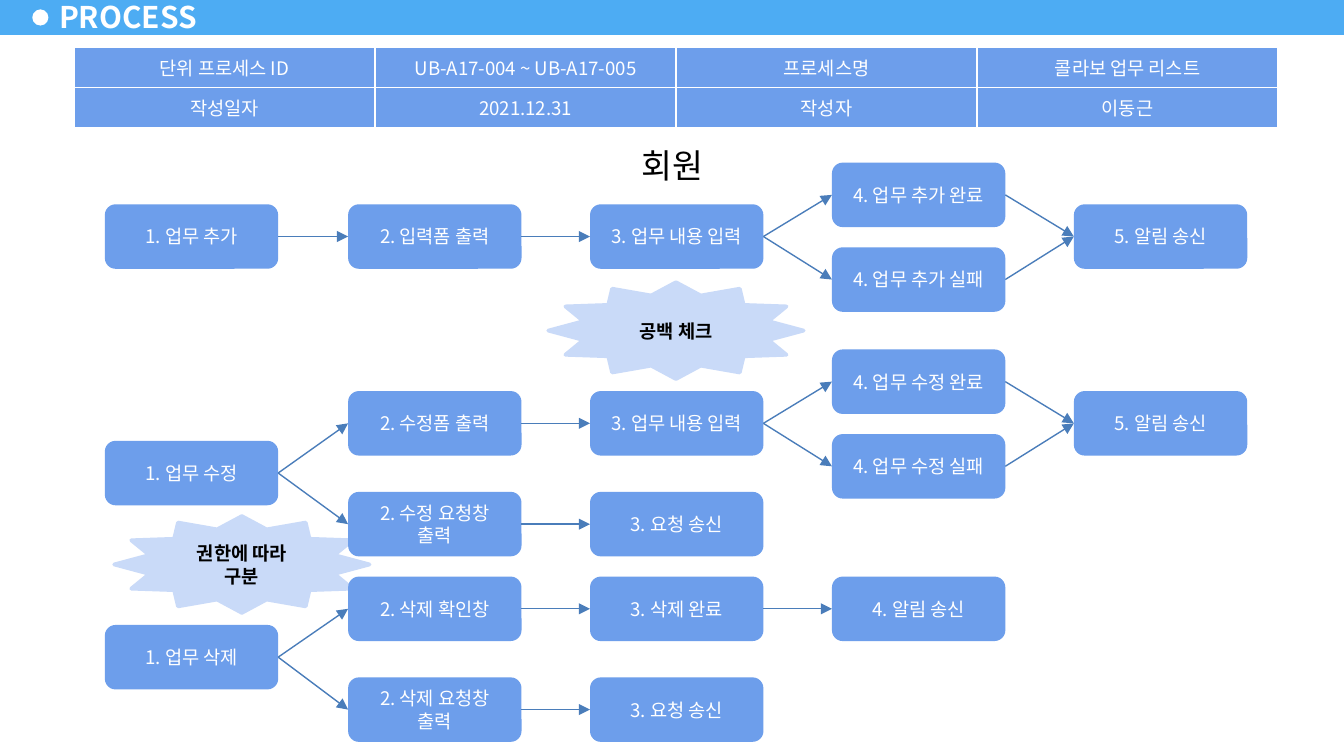
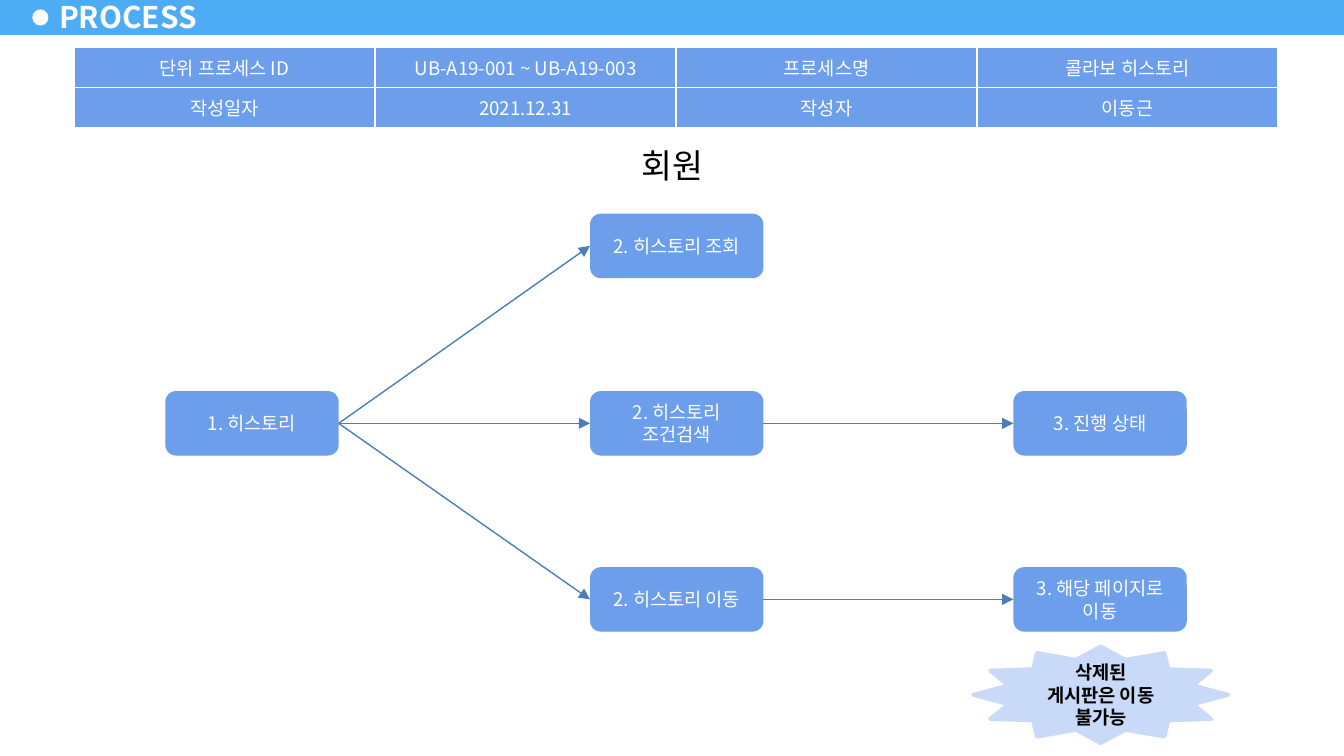
"""Build two process flow slides with a shared header band and info table."""
import dataclasses

import lxml.etree
import pptx
import pptx.dml.color
import pptx.enum.shapes
import pptx.enum.text
import pptx.oxml.ns
import pptx.util

Inches = pptx.util.Inches
Pt = pptx.util.Pt
RGB = pptx.dml.color.RGBColor.from_string
KIND = pptx.enum.shapes.MSO_SHAPE
ALIGN = pptx.enum.text.PP_ALIGN
ANCHOR = pptx.enum.text.MSO_ANCHOR
qn = pptx.oxml.ns.qn


@dataclasses.dataclass(frozen=True)
class Theme:
    font: str = "Noto Sans CJK KR"
    band: str = "4DACF3"
    node: str = "6D9EEB"
    star: str = "C9DAF8"
    arrow: str = "4A7DBA"
    white: str = "FFFFFF"
    black: str = "000000"
    title: int = 16
    head: int = 18
    body: int = 10


theme = Theme()


def write(frame, text, size=theme.body, color=theme.white, bold=False,
          align=ALIGN.CENTER, anchor=ANCHOR.MIDDLE):
    frame.word_wrap = True
    frame.vertical_anchor = anchor
    para = frame.paragraphs[0]
    para.alignment = align
    run = para.add_run()
    run.text = text
    run.font.size = Pt(size)
    run.font.bold = bold
    run.font.color.rgb = RGB(color)
    run.font.name = theme.font
    props = run.font._element
    lxml.etree.SubElement(props, qn("a:ea")).set("typeface", theme.font)


def draw(slide, kind, box, fill, text="", **form):
    shape = slide.shapes.add_shape(kind, *map(Inches, box))
    shape.shadow.inherit = False
    shape.fill.solid()
    shape.fill.fore_color.rgb = RGB(fill)
    shape.line.fill.background()
    if text:
        write(shape.text_frame, text, **form)
    return shape


cols = [0.78, 2.59, 4.39, 6.19, 7.99]
wide = [1.23, 4.39, 7.54]
pages = [
    {
        "code": "UB-A17-004 ~ UB-A17-005",
        "name": "콜라보 업무 리스트",
        "cols": cols,
        "stars": [(4.08, 2.1, "공백 체크"), (0.85, 3.84, "권한에 따라 구분")],
        "nodes": {
            "add": (0, 1.52, "1. 업무 추가"),
            "form": (1, 1.52, "2. 입력폼 출력"),
            "input": (2, 1.52, "3. 업무 내용 입력"),
            "done": (3, 1.21, "4. 업무 추가 완료"),
            "fail": (3, 1.84, "4. 업무 추가 실패"),
            "alert": (4, 1.52, "5. 알림 송신"),
            "edit": (0, 3.28, "1. 업무 수정"),
            "edit form": (1, 2.91, "2. 수정폼 출력"),
            "edit input": (2, 2.91, "3. 업무 내용 입력"),
            "edit done": (3, 2.6, "4. 업무 수정 완료"),
            "edit fail": (3, 3.23, "4. 업무 수정 실패"),
            "edit alert": (4, 2.91, "5. 알림 송신"),
            "edit ask": (1, 3.66, "2. 수정 요청창 출력"),
            "edit send": (2, 3.66, "3. 요청 송신"),
            "drop": (0, 4.65, "1. 업무 삭제"),
            "drop check": (1, 4.29, "2. 삭제 확인창"),
            "drop done": (2, 4.29, "3. 삭제 완료"),
            "drop alert": (3, 4.29, "4. 알림 송신"),
            "drop ask": (1, 5.04, "2. 삭제 요청창 출력"),
            "drop send": (2, 5.04, "3. 요청 송신"),
        },
        "paths": [
            ["add", "form", "input", "done", "alert"],
            ["input", "fail", "alert"],
            ["edit", "edit form", "edit input", "edit done", "edit alert"],
            ["edit input", "edit fail", "edit alert"],
            ["edit", "edit ask", "edit send"],
            ["drop", "drop check", "drop done", "drop alert"],
            ["drop", "drop ask", "drop send"],
        ],
    },
    {
        "code": "UB-A19-001 ~ UB-A19-003",
        "name": "콜라보 히스토리",
        "cols": wide,
        "stars": [(7.24, 4.81, "삭제된 게시판은 이동 불가능")],
        "nodes": {
            "start": (0, 2.91, "1. 히스토리"),
            "view": (1, 1.59, "2. 히스토리 조회"),
            "search": (1, 2.91, "2. 히스토리 조건검색"),
            "move": (1, 4.22, "2. 히스토리 이동"),
            "state": (2, 2.91, "3. 진행 상태"),
            "page": (2, 4.22, "3. 해당 페이지로 이동"),
        },
        "paths": [
            ["start", "view"],
            ["start", "search", "state"],
            ["start", "move", "page"],
        ],
    },
]

deck = pptx.Presentation()
deck.slide_width = Inches(10)
deck.slide_height = deck.slide_width * 9 // 16
layout = deck.slide_layouts[5]

for index, page in enumerate(pages):
    slide = deck.slides.add_slide(layout)
    if index == 0:
        band = draw(slide, KIND.RECTANGLE, (0, -0.02, 10, 0.28), theme.band)
        dot = draw(slide, KIND.OVAL, (0.24, 0.07, 0.12, 0.12), theme.white)
        for number, part in enumerate([band, dot], 20):
            part.element.nvSpPr.cNvPr.set("id", str(number))
            layout.shapes.element.append(part.element)

    title = slide.shapes.title
    title.left, title.top = Inches(0.35), Inches(-0.04)
    title.width, title.height = Inches(1.22), Inches(0.32)
    frame = title.text_frame
    frame.auto_size = pptx.enum.text.MSO_AUTO_SIZE.NONE
    frame.margin_left = frame.margin_right = Inches(0.09)
    frame.margin_top = frame.margin_bottom = Inches(0.04)
    write(frame, "PROCESS", size=theme.title, bold=True, align=ALIGN.LEFT)

    rows = [
        ["단위 프로세스 ID", page["code"], "프로세스명", page["name"]],
        ["작성일자", "2021.12.31", "작성자", "이동근"],
    ]
    table = slide.shapes.add_table(
        2, 4, Inches(0.55), Inches(0.35), Inches(8.96), Inches(0.57)).table
    table.first_row = table.horz_banding = False
    for col in table.columns:
        col.width = Inches(2.24)
    for row, height, texts in zip(table.rows, [0.29, 0.28], rows):
        row.height = Inches(height)
        for cell, text in zip(row.cells, texts):
            write(cell.text_frame, text)
            cell.vertical_anchor = ANCHOR.MIDDLE
            cell.margin_left = cell.margin_right = Inches(0.1)
            cell.margin_top = cell.margin_bottom = Inches(0.05)
            props = cell._tc.get_or_add_tcPr()
            for side in ["lnL", "lnR", "lnT", "lnB"]:
                edge = lxml.etree.SubElement(props, qn("a:" + side), w=str(Pt(1)))
                paint = lxml.etree.SubElement(edge, qn("a:solidFill"))
                lxml.etree.SubElement(paint, qn("a:srgbClr"), val=theme.white)
            cell.fill.solid()
            cell.fill.fore_color.rgb = RGB(theme.node)

    draw(slide, KIND.RECTANGLE, (3.97, 1.03, 2.07, 0.41), theme.white, "회원",
         size=theme.head, color=theme.black, anchor=ANCHOR.TOP)

    for left, top, text in page["stars"]:
        star = draw(slide, KIND.STAR_12_POINT, (left, top, 1.9, 0.72),
                    theme.star, text, color=theme.black, bold=True)
        star.line.color.rgb = RGB(theme.star)
        star.line.width = Pt(2)

    nodes = {}
    for key, (col, top, text) in page["nodes"].items():
        nodes[key] = draw(slide, KIND.ROUNDED_RECTANGLE,
                          (page["cols"][col], top, 1.29, 0.48), theme.node, text)

    for chain in page["paths"]:
        for start, end in zip(chain, chain[1:]):
            arrow = slide.shapes.add_connector(
                pptx.enum.shapes.MSO_CONNECTOR.STRAIGHT, 0, 0, 0, 0)
            arrow.begin_connect(nodes[start], 3)
            arrow.end_connect(nodes[end], 1)
            arrow.line.color.rgb = RGB(theme.arrow)
            arrow.line.width = Pt(0.75)
            props = arrow.element.spPr
            line = props.find(qn("a:ln"))
            lxml.etree.SubElement(line, qn("a:tailEnd"), type="triangle")
            lxml.etree.SubElement(props, qn("a:effectLst"))

deck.save("out.pptx")
